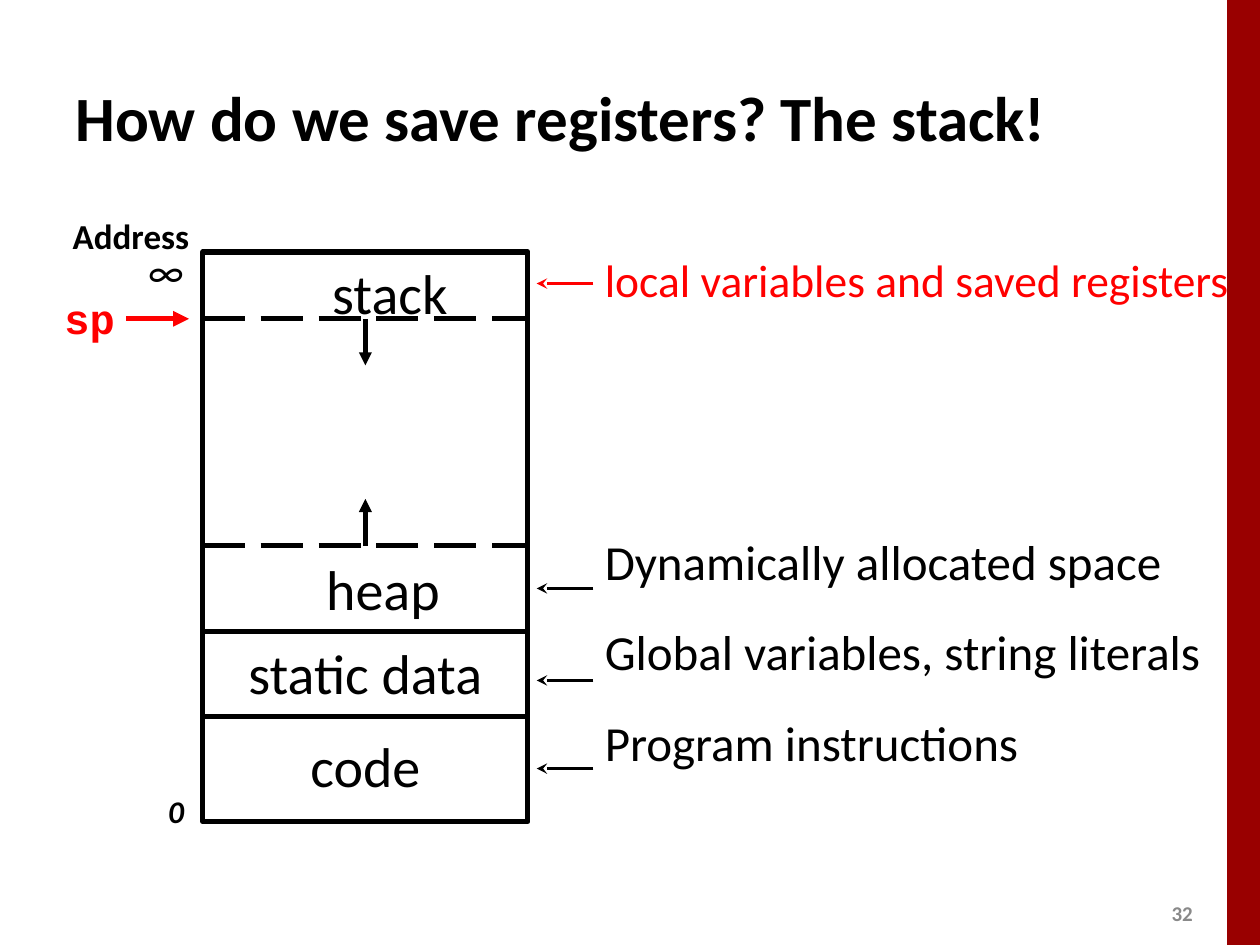
from lxml import etree
from pptx import Presentation
from pptx.dml.color import RGBColor
from pptx.enum.dml import MSO_LINE
from pptx.enum.shapes import MSO_CONNECTOR, MSO_SHAPE
from pptx.enum.text import MSO_ANCHOR, MSO_AUTO_SIZE, PP_ALIGN
from pptx.oxml.ns import qn
from pptx.util import Inches, Pt

LEFT, CENTER, RIGHT = PP_ALIGN.LEFT, PP_ALIGN.CENTER, PP_ALIGN.RIGHT
MIDDLE, TOP = MSO_ANCHOR.MIDDLE, MSO_ANCHOR.TOP
NO_AUTOFIT = MSO_AUTO_SIZE.NONE
RECTANGLE = MSO_SHAPE.RECTANGLE
STRAIGHT = MSO_CONNECTOR.STRAIGHT
LONG_DASH = MSO_LINE.LONG_DASH
BLACK, WHITE, RED, DARK_RED, GRAY = "000000", "FFFFFF", "FF0000", "990000", "898989"


def color(hex_value):
    """Turn a hex string into a colour."""
    return RGBColor.from_string(hex_value)


def place(shape, box):
    """Move a shape to a box given in inches."""
    shape.left, shape.top, shape.width, shape.height = map(Inches, box)


def add_run(paragraph, text, size, hex_value=BLACK, bold=False, italic=False, font="Calibri"):
    """Add one formatted run to a paragraph."""
    run = paragraph.add_run()
    run.text = text
    run.font.name, run.font.size = font, Pt(size)
    run.font.bold, run.font.italic = bold, italic
    run.font.color.rgb = color(hex_value)


def add_label(slide, box, text, size, align=CENTER, anchor=TOP, **style):
    """Add a one-line text box."""
    label = slide.shapes.add_textbox(*map(Inches, box))
    frame = label.text_frame
    frame.word_wrap = True
    frame.vertical_anchor = anchor
    paragraph = frame.paragraphs[0]
    paragraph.alignment = align
    add_run(paragraph, text, size, **style)


def add_box(slide, box, fill=None, line=None, width=3):
    """Add a rectangle with optional fill and outline."""
    shape = slide.shapes.add_shape(RECTANGLE, *map(Inches, box))
    shape.shadow.inherit = False
    if fill:
        shape.fill.solid()
        shape.fill.fore_color.rgb = color(fill)
    else:
        shape.fill.background()
    if line:
        shape.line.color.rgb = color(line)
        shape.line.width = Pt(width)
    else:
        shape.line.fill.background()


def add_line(slide, start, end, hex_value=BLACK, width=3, dash=None, head=None):
    """Add a straight line, dashed or with an arrowhead at its end."""
    line = slide.shapes.add_connector(STRAIGHT, *map(Inches, (*start, *end)))
    line.line.color.rgb = color(hex_value)
    line.line.width = Pt(width)
    if dash:
        line.line.dash_style = dash
    if head:
        etree.SubElement(line.line._get_or_add_ln(), qn("a:tailEnd"), type=head)
    etree.SubElement(line._element.spPr, qn("a:effectLst"))


def add_title(slide, box):
    """Fill the title placeholder."""
    title = slide.shapes.title
    place(title, box)
    title.text_frame.vertical_anchor = MIDDLE
    title.text_frame.auto_size = NO_AUTOFIT
    paragraph = title.text_frame.paragraphs[0]
    paragraph.alignment = LEFT
    add_run(paragraph, "How do we save registers? The stack!", 36, bold=True)


def add_descriptions(slide, box):
    """Fill the body placeholder with what each memory region holds."""
    body = slide.placeholders[1]
    place(body, box)
    frame = body.text_frame
    frame.auto_size = NO_AUTOFIT
    rows = [
        ("local variables and saved registers", 26, RED, 0),
        ("Dynamically allocated space", 28, BLACK, 128.5),
        ("Global variables, string literals", 28, BLACK, 18),
        ("Program instructions", 28, BLACK, 18),
    ]
    for index, (text, size, hex_value, space) in enumerate(rows):
        paragraph = frame.add_paragraph() if index else frame.paragraphs[0]
        properties = paragraph._p.get_or_add_pPr()
        properties.set("marL", "0")
        properties.set("indent", "0")
        etree.SubElement(properties, qn("a:buNone"))
        paragraph.space_before = Pt(space)
        add_run(paragraph, text, size, hex_value)


def add_memory(slide, box):
    """Draw the memory column with its regions, growth arrows and addresses."""
    left, top, width, height = box
    right, middle = left + width, left + width / 2
    stack_end, heap_end = top + 0.53, top + 2.33
    data_top, code_top = top + 3.01, top + 3.69
    add_box(slide, (left, stack_end, width, heap_end - stack_end), WHITE, WHITE, 1)
    add_box(slide, box, line=BLACK)
    add_box(slide, (left, code_top, width, top + height - code_top), line=BLACK, width=1)
    add_box(slide, (left, data_top, width, code_top - data_top), line=BLACK)
    for edge in (heap_end, stack_end):
        add_line(slide, (left, edge), (right, edge), dash=LONG_DASH)
    regions = [
        ("code", 0, 3.76, width),
        ("static data", 0, 3.02, width),
        ("heap", 0.78, 2.35, 1.3),
        ("stack", 0.77, 0, 1.43),
    ]
    for text, across, down, label_width in regions:
        add_label(slide, (left + across, top + down, label_width, 0.58), text, 32)
    for edge, growth in ((heap_end, -0.37), (stack_end, 0.37)):
        add_line(slide, (middle, edge), (middle, edge + growth), width=2.5, head="triangle")
    add_label(slide, (left - 0.54, top - 0.1, 0.49, 0.5), "∞", 24, RIGHT, italic=True)
    add_label(slide, (left - 0.38, top + 4.24, 0.33, 0.4), "0", 18, RIGHT, bold=True, italic=True)
    add_label(slide, (left - 1.21, top - 0.35, 1.2, 0.44), "Address", 20, RIGHT, bold=True)


def add_region_arrows(slide, box):
    """Point from each description to its memory region."""
    left, top, width, height = box
    for down, hex_value in ((0, RED), (2.42, BLACK), (3.15, BLACK), (height, BLACK)):
        y = top + down
        add_line(slide, (left + width, y), (left, y), hex_value, 2, head="stealth")


def add_stack_pointer(slide, box):
    """Mark the stack pointer with a label and an arrow."""
    left, top, width, height = box
    y = top + 0.26
    add_line(slide, (left + 0.8, y), (left + width, y), RED, head="triangle")
    add_label(slide, (left, top, 0.81, height), "sp", 24, RIGHT,
              hex_value=RED, bold=True, font="Courier New")


def main():
    """Build and save the slide."""
    presentation = Presentation()
    presentation.slide_width, presentation.slide_height = Inches(10), Inches(7.5)
    slide = presentation.slides.add_slide(presentation.slide_layouts[1])
    add_box(slide, (9.74, 0, 0.26, 7.5), DARK_RED)
    add_label(slide, (9.2, 7.1, 0.4, 0.3), "32", 12, LEFT, MIDDLE, hex_value=GRAY, bold=True)
    add_title(slide, (0.5, 0.3, 9, 1.25))
    add_descriptions(slide, (4.7, 1.95, 5.2, 4.95))
    add_memory(slide, (1.61, 2, 2.58, 4.52))
    add_region_arrows(slide, (4.26, 2.25, 0.45, 3.85))
    add_stack_pointer(slide, (0.2, 2.27, 1.3, 0.5))
    presentation.save("out.pptx")


if __name__ == "__main__":
    main()
